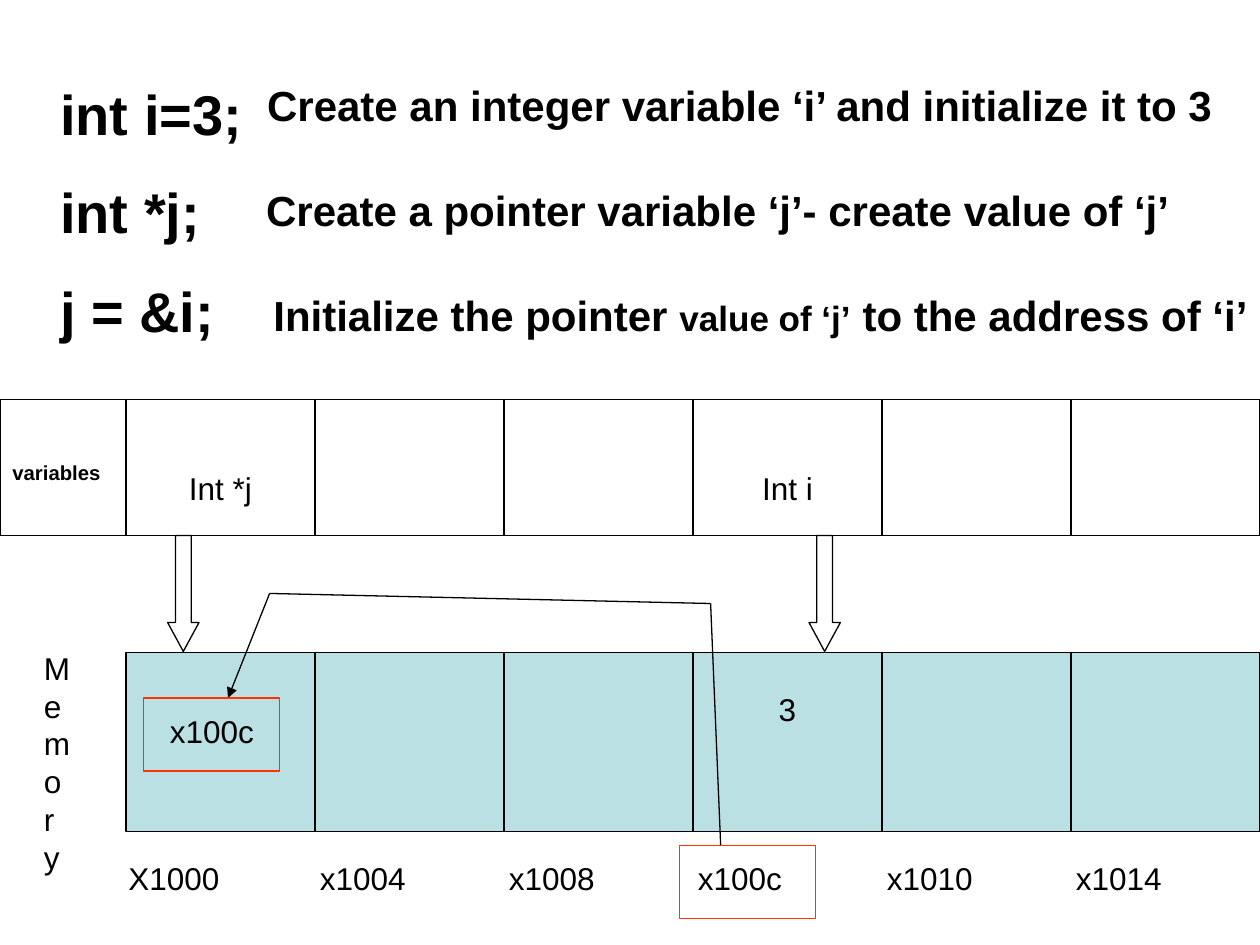
import pptx
import pptx.util
import pptx.dml.color
import pptx.enum.shapes
import pptx.enum.text
import pptx.oxml.ns
import lxml.etree

Inches = pptx.util.Inches
Pt = pptx.util.Pt
RGBColor = pptx.dml.color.RGBColor
SHAPE = pptx.enum.shapes.MSO_SHAPE
ALIGN = pptx.enum.text.PP_ALIGN

BLACK = RGBColor(0x00, 0x00, 0x00)
MEMORY_BLUE = RGBColor(0xBB, 0xE0, 0xE3)
ADDRESS_RED = RGBColor(0xFF, 0x33, 0x00)

SLIDE_WIDTH, SLIDE_HEIGHT = 10, 7.5
FIRST_COLUMN, COLUMN_WIDTH, COLUMN_COUNT = 1, 1.5, 6
VARIABLES_TOP, VARIABLES_HEIGHT = 3.17, 1.08
VARIABLES_BOTTOM = VARIABLES_TOP + VARIABLES_HEIGHT
MEMORY_TOP, MEMORY_HEIGHT = 5.18, 1.42
ADDRESSES = ["X1000", "x1004", "x1008", "x100c", "x1010", "x1014"]
CAPTIONS = [
    (1.64, 8.08, [("Create an integer variable ‘i’ and initialize it to 3", 24)]),
    (1.88, 7.5, [("Create a pointer variable ‘j’- create value of ‘j’", 24)]),
    (1.92, 8.08, [("Initialize the pointer ", 24), ("value of ‘j’", 20),
                  (" to the address of ‘i’", 24)]),
]


def column_left(index):
    return FIRST_COLUMN + index * COLUMN_WIDTH


def add_xml(parent, tag, **attributes):
    element = lxml.etree.SubElement(parent, pptx.oxml.ns.qn(tag))
    for name, value in attributes.items():
        element.set(name, str(value))
    return element


def add_box(shapes, kind, box, fill=None, line=BLACK):
    shape = shapes.add_shape(kind, *map(Inches, box))
    shape.shadow.inherit = False
    if fill is None:
        shape.fill.background()
    else:
        shape.fill.solid()
        shape.fill.fore_color.rgb = fill
    shape.line.color.rgb = line
    shape.line.width = Pt(0.75)
    return shape


def add_line(shapes, start, end, arrow=False):
    connector = shapes.add_connector(
        pptx.enum.shapes.MSO_CONNECTOR.STRAIGHT, *map(Inches, start + end))
    connector.line.color.rgb = BLACK
    connector.line.width = Pt(0.75)
    if arrow:
        add_xml(connector.line._get_or_add_ln(), "a:tailEnd", type="triangle")
    add_xml(connector._element.spPr, "a:effectLst")


def format_run(run, size, bold):
    run.font.name = "Arial"
    run.font.size = Pt(size)
    run.font.bold = bold
    run.font.color.rgb = BLACK


def add_text(shapes, box, paragraphs, bold=False, align=ALIGN.LEFT):
    text_box = shapes.add_textbox(*map(Inches, box))
    text_frame = text_box.text_frame
    text_frame.word_wrap = True
    for index, pieces in enumerate(paragraphs):
        paragraph = text_frame.add_paragraph() if index else text_frame.paragraphs[0]
        paragraph.alignment = align
        if index:
            paragraph.space_before = Pt(18)
        for text, size in pieces:
            run = paragraph.add_run()
            run.text = text
            format_run(run, size, bold)
    return text_frame


def add_code(shapes):
    code = ["int i=3;", "int *j;", "j = &i;"]
    add_text(shapes, (0.38, 0.58, 3.84, 2.23), [[(line, 32)] for line in code], True)
    for row, (left, width, pieces) in enumerate(CAPTIONS):
        top = 0.58 + row * SLIDE_HEIGHT / 9
        add_text(shapes, (left, top, width, 0.49), [pieces], True, ALIGN.RIGHT)


def add_variables(shapes):
    add_box(shapes, SHAPE.RECTANGLE, (0, VARIABLES_TOP, SLIDE_WIDTH, VARIABLES_HEIGHT))
    for index in range(COLUMN_COUNT):
        left = column_left(index)
        add_line(shapes, (left, VARIABLES_BOTTOM), (left, VARIABLES_TOP))
    label = add_text(shapes, (0, 3.42, 1.08, 0.32), [[("variables", 20)]], True)
    label.paragraphs[0].runs[0].font._element.set("baseline", "-25000")
    for index, name, arrow_left in [(0, "Int *j", 1.33), (3, "Int i", 6.42)]:
        add_text(shapes, (column_left(index), 3.67, COLUMN_WIDTH, 0.4),
                 [[(name, 18)]], align=ALIGN.CENTER)
        arrow = add_box(shapes, SHAPE.DOWN_ARROW,
                        (arrow_left, VARIABLES_BOTTOM, 0.25, 0.92))
        arrow.adjustments[0] = 0.5
        arrow.adjustments[1] = 0.92


def add_memory(shapes):
    for index in range(COLUMN_COUNT):
        add_box(shapes, SHAPE.RECTANGLE,
                (column_left(index), MEMORY_TOP, COLUMN_WIDTH, MEMORY_HEIGHT), MEMORY_BLUE)
    add_text(shapes, (0.25, 5.1, 0.33, 1.91), [[("Memory", 18)]])
    add_text(shapes, (column_left(3), 5.43, COLUMN_WIDTH, 0.4),
             [[("3", 18)]], align=ALIGN.CENTER)
    addresses = add_text(shapes, (0.92, 6.77, 9.08, 0.4), [[("\t".join(ADDRESSES), 18)]])
    properties = addresses.paragraphs[0]._p.get_or_add_pPr()
    tabs = add_xml(properties, "a:tabLst")
    for index in range(1, COLUMN_COUNT):
        add_xml(tabs, "a:tab", pos=int(Inches(index * COLUMN_WIDTH + 0.02)), algn="l")


def add_pointer(shapes):
    add_text(shapes, (1.25, 5.6, 1, 0.4), [[("x100c", 18)]])
    corners = [(5.72, 6.71), (5.64, 4.79), (2.14, 4.71), (1.81, 5.54)]
    for start, end in zip(corners, corners[1:]):
        add_line(shapes, start, end, arrow=end == corners[-1])
    for left, top in [(5.39, 6.71), (1.14, 5.54)]:
        add_box(shapes, SHAPE.RECTANGLE, (left, top, 1.08, 0.58), line=ADDRESS_RED)


def main():
    presentation = pptx.Presentation()
    presentation.slide_width = Inches(SLIDE_WIDTH)
    presentation.slide_height = Inches(SLIDE_HEIGHT)
    slide = presentation.slides.add_slide(presentation.slide_layouts[6])
    add_memory(slide.shapes)
    add_variables(slide.shapes)
    add_code(slide.shapes)
    add_pointer(slide.shapes.add_group_shape().shapes)
    presentation.save("out.pptx")


main()
